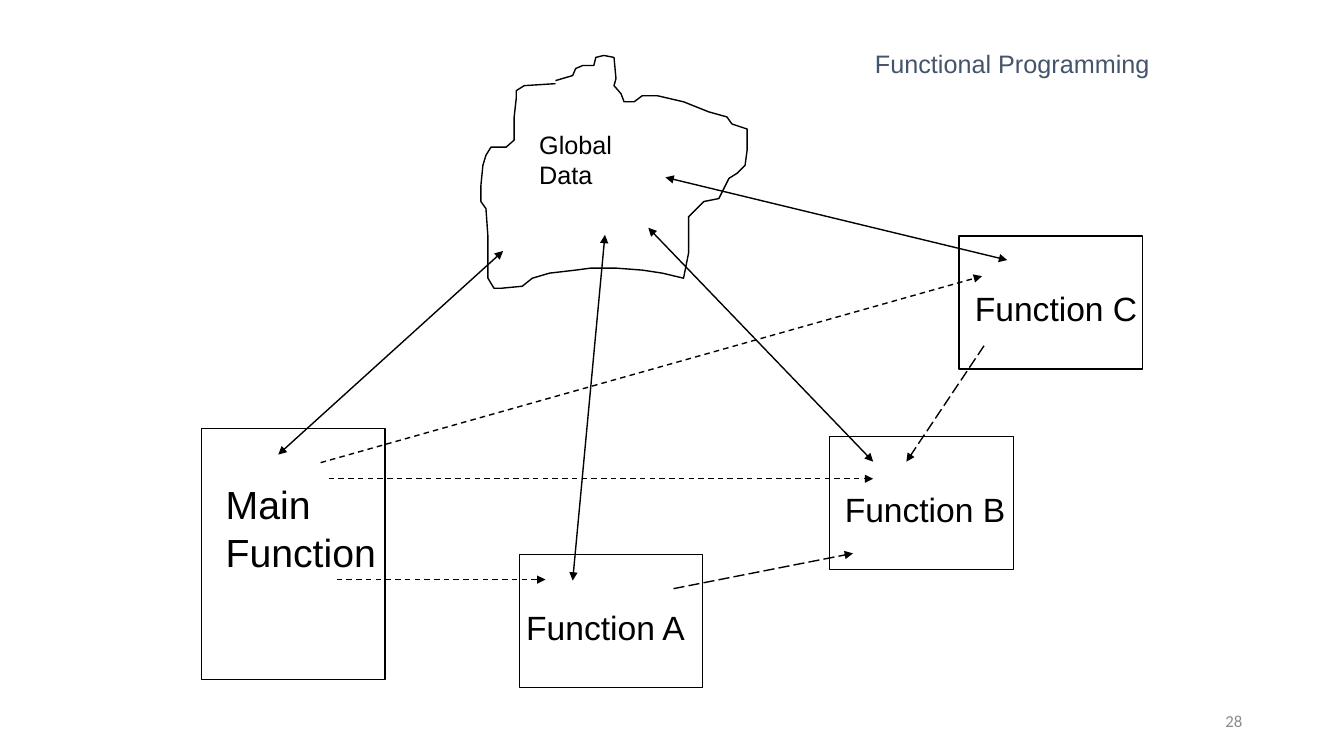
from lxml import etree
from pptx import Presentation
from pptx.dml.color import RGBColor
from pptx.enum.dml import MSO_LINE_DASH_STYLE as Dash
from pptx.enum.shapes import MSO_CONNECTOR, MSO_SHAPE
from pptx.enum.text import MSO_ANCHOR, MSO_AUTO_SIZE, PP_ALIGN
from pptx.oxml.ns import qn
from pptx.util import Inches, Pt

COLORS = {"ink": "000000", "title": "44546A", "page": "8C8C8C"}
BOX_WIDTH = 1.82
LABEL_WIDTH = 1.85
LABEL_DROP = 0.47

# Left, top, height, label indent, font size, label lines
FUNCTIONS = [
    (9.51, 2.34, 1.32, 0.06, 24, ["Function C"]),
    (8.23, 4.33, 1.32, 0.05, 24, ["Function B"]),
    (5.15, 5.5, 1.32, -0.03, 24, ["Function A"]),
    (2, 4.25, 2.49, 0.14, 28, ["Main", "Function"]),
]

DATA_ACCESS = [
    ((5.68, 5.76), (6, 2.33)),
    ((6.43, 2.26), (8.66, 4.58)),
    ((6.6, 1.76), (9.99, 2.58)),
    ((2.76, 4.51), (4.99, 2.49)),
]
MAIN_CALLS = [
    ((3.18, 4.59), (9.74, 2.74)),
    ((3.26, 4.75), (8.66, 4.75)),
    ((3.34, 5.75), (5.41, 5.75)),
]
FUNCTION_CALLS = [
    ((6.68, 5.84), (8.46, 5.49)),
    ((9.76, 3.43), (8.99, 4.58)),
]

# Hundredths of an inch from the corner of the cloud's box
CLOUD_OUTLINE = [
    (74, 28), (43, 30), (35, 35), (35, 43), (33, 61), (33, 68), (33, 84),
    (25, 91), (10, 91), (5, 99), (2, 109), (0, 129), (0, 145), (5, 152),
    (7, 180), (7, 206), (7, 221), (13, 231), (20, 231), (41, 229),
    (51, 221), (68, 216), (94, 213), (109, 211), (134, 211), (160, 213),
    (180, 216), (201, 221), (206, 196), (206, 170), (206, 160), (221, 145),
    (236, 142), (246, 122), (254, 117), (262, 109), (264, 94), (264, 73),
    (249, 68), (244, 61), (226, 56), (201, 46), (175, 40), (160, 40),
    (152, 46), (142, 46), (139, 38), (132, 30), (134, 23), (132, 2),
    (122, 0), (114, 2), (112, 10), (101, 10), (94, 13), (91, 20), (74, 25),
]


def color(name):
    return RGBColor.from_string(COLORS[name])


def style_outline(shape):
    shape.shadow.inherit = False
    shape.fill.background()
    shape.line.color.rgb = color("ink")
    shape.line.width = Pt(1)


def add_text(slide, box, lines, size, ink="ink", font="Arial",
             align=PP_ALIGN.LEFT, anchor=MSO_ANCHOR.TOP, wrap=False):
    shape = slide.shapes.add_textbox(*map(Inches, box))
    frame = shape.text_frame
    frame.word_wrap = wrap
    frame.auto_size = MSO_AUTO_SIZE.NONE if wrap else MSO_AUTO_SIZE.SHAPE_TO_FIT_TEXT
    frame.vertical_anchor = anchor
    frame.text = "\n".join(lines)
    for paragraph in frame.paragraphs:
        paragraph.alignment = align
        paragraph.font.name = font
        paragraph.font.size = Pt(size)
        paragraph.font.color.rgb = color(ink)


def add_global_data(slide, left, top):
    start, *rest = CLOUD_OUTLINE
    builder = slide.shapes.build_freeform(*start, scale=Inches(0.01))
    builder.add_line_segments(rest, close=False)
    style_outline(builder.convert_to_shape(Inches(left), Inches(top)))
    add_text(slide, (left + 0.48, top + 0.68, 0.93, 0.7), ["Global", "Data"], 18)


def add_function(slide, left, top, height, indent, size, lines):
    box = map(Inches, (left, top, BOX_WIDTH, height))
    style_outline(slide.shapes.add_shape(MSO_SHAPE.RECTANGLE, *box))
    label_height = 0.1 + len(lines) * size / 60
    label_box = (left + indent, top + LABEL_DROP, LABEL_WIDTH, label_height)
    add_text(slide, label_box, lines, size)


def add_arrow(slide, start, end, dash=None, both_ends=False):
    points = map(Inches, (*start, *end))
    arrow = slide.shapes.add_connector(MSO_CONNECTOR.STRAIGHT, *points)
    arrow.line.color.rgb = color("ink")
    arrow.line.width = Pt(1)
    if dash:
        arrow.line.dash_style = dash
    properties = arrow._element.spPr
    outline = properties.find(qn("a:ln"))
    for tag in ("a:headEnd", "a:tailEnd") if both_ends else ("a:tailEnd",):
        etree.SubElement(outline, qn(tag), type="triangle")
    etree.SubElement(properties, qn("a:effectLst"))


def add_arrows(slide):
    for start, end in DATA_ACCESS:
        add_arrow(slide, start, end, both_ends=True)
    for start, end in MAIN_CALLS:
        add_arrow(slide, start, end, Dash.DASH)
    for start, end in FUNCTION_CALLS:
        add_arrow(slide, start, end, Dash.LONG_DASH)


def main():
    presentation = Presentation()
    presentation.slide_width = Inches(13.33)
    presentation.slide_height = Inches(7.5)
    slide = presentation.slides.add_slide(presentation.slide_layouts[6])
    add_text(slide, (3, 0, 8.5, 1.25), ["Functional Programming"], 18, "title",
             align=PP_ALIGN.RIGHT, anchor=MSO_ANCHOR.MIDDLE, wrap=True)
    add_global_data(slide, 4.77, 0.55)
    for function in FUNCTIONS:
        add_function(slide, *function)
    add_arrows(slide)
    add_text(slide, (9.42, 6.95, 3, 0.4), ["28"], 12, "page", "Calibri",
             PP_ALIGN.RIGHT, MSO_ANCHOR.MIDDLE, wrap=True)
    presentation.save("out.pptx")


if __name__ == "__main__":
    main()
